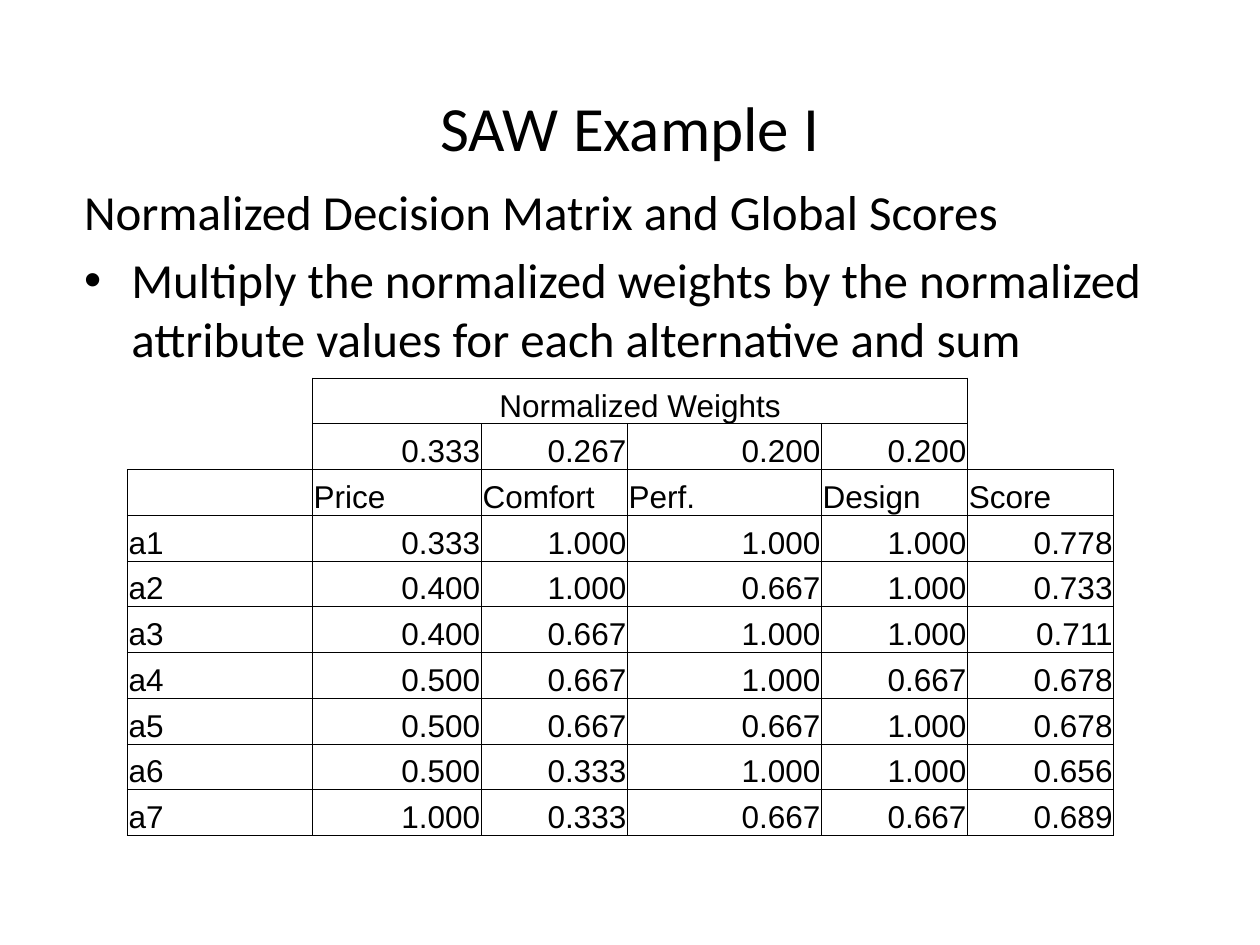
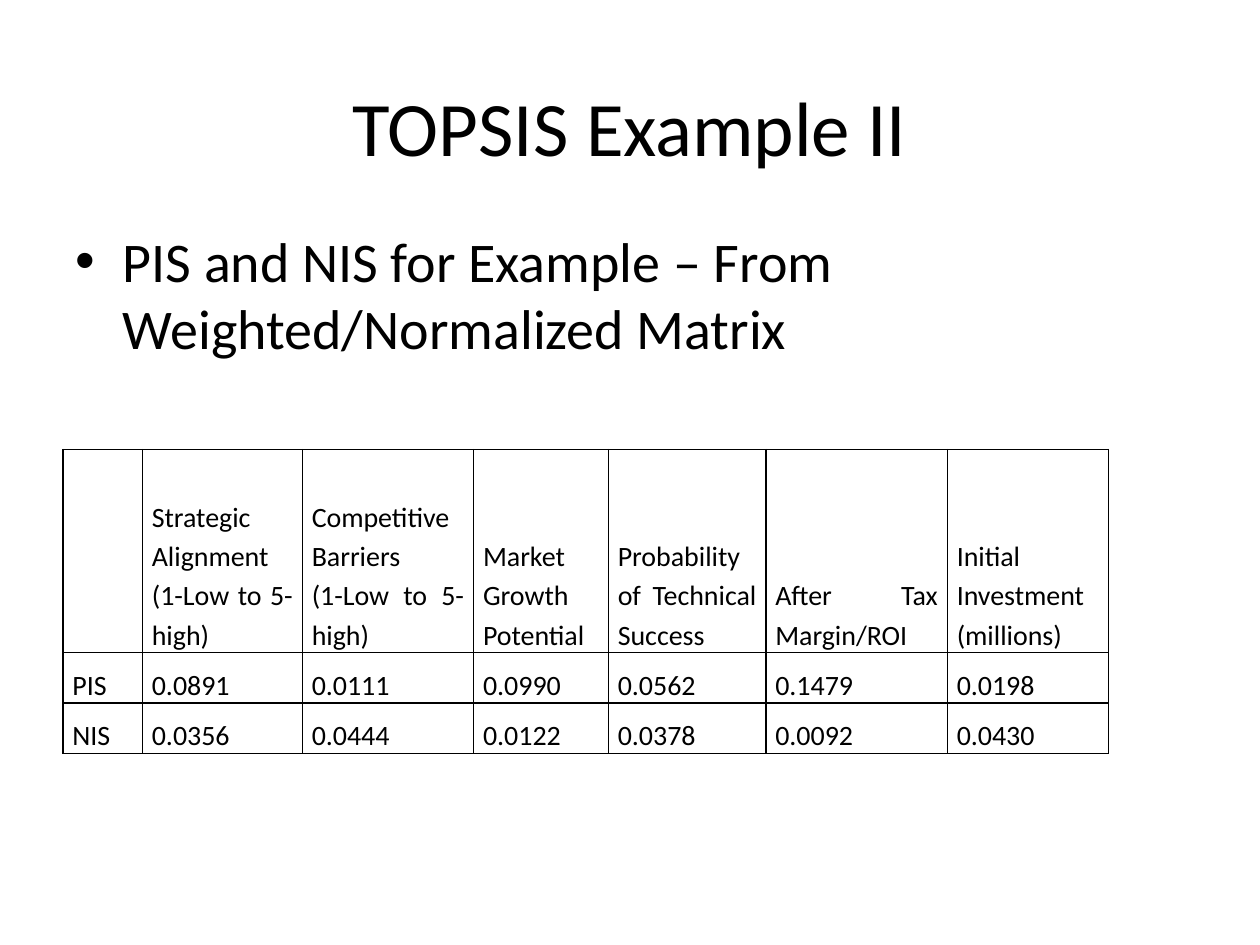
"""Build two slides with decision-matrix tables for the SAW and TOPSIS methods."""
from dataclasses import dataclass

import lxml.etree
import pptx
import pptx.dml.color
import pptx.enum.text
import pptx.oxml.ns
import pptx.util

Pt = pptx.util.Pt
qn = pptx.oxml.ns.qn
ALIGN = pptx.enum.text.PP_ALIGN
ANCHOR = pptx.enum.text.MSO_ANCHOR


@dataclass(frozen=True)
class Theme:
    ink: str = "000000"
    text_font: str = "Calibri"
    matrix_font: str = "Arial"
    saw_title: int = 36
    topsis_title: int = 44
    saw_body: int = 28
    topsis_body: int = 32
    saw_matrix: int = 18
    topsis_matrix: int = 16


THEME = Theme()
TITLE_BOX = (36, 27, 648, 90)
BULLET_INDENT = 27

SLIDES = [
    {
        "title": ("SAW Example I", THEME.saw_title),
        "body_at": (41, 100, 648, 356.4),
        "body_size": THEME.saw_body,
        "body": [
            ("Normalized Decision Matrix and Global Scores", False),
            ("Multiply the normalized weights by the normalized attribute values "
             "for each alternative and sum", True),
        ],
        "matrix": {
            "at": (72.8, 216),
            "columns": [105.8, 96.5, 83.5, 110.9, 83.5, 83.5],
            "heights": [26.14] * 10,
            "rows": [
                ["", "Normalized Weights", "", "", "", ""],
                ["", "0.333", "0.267", "0.200", "0.200", ""],
                ["", "Price", "Comfort", "Perf.", "Design", "Score"],
                ["a1", "0.333", "1.000", "1.000", "1.000", "0.778"],
                ["a2", "0.400", "1.000", "0.667", "1.000", "0.733"],
                ["a3", "0.400", "0.667", "1.000", "1.000", "0.711"],
                ["a4", "0.500", "0.667", "1.000", "0.667", "0.678"],
                ["a5", "0.500", "0.667", "0.667", "1.000", "0.678"],
                ["a6", "0.500", "0.333", "1.000", "1.000", "0.656"],
                ["a7", "1.000", "0.333", "0.667", "0.667", "0.689"],
            ],
            "merged": ((0, 1), (0, 4)),
            "unframed": {(0, 0), (1, 0), (0, 5), (1, 5)},
            "font": (THEME.matrix_font, THEME.saw_matrix),
            "insets": (0.7, 0.7, 0.7, 0),
            "justified": False,
            "rule": 0.5,
        },
    },
    {
        "title": ("TOPSIS Example II", THEME.topsis_title),
        "body_at": (36, 126, 648, 356.4),
        "body_size": THEME.topsis_body,
        "body": [("PIS and NIS for Example – From Weighted/Normalized Matrix", True)],
        "matrix": {
            "at": (36, 257),
            "columns": [45.4, 91.4, 97.9, 77, 90, 103.7, 92.2],
            "heights": [116, 28.8, 28.8],
            "rows": [
                ["", "Strategic Alignment\n(1-Low to 5-high)",
                 "Competitive Barriers\n(1-Low to 5-high)", "Market Growth Potential",
                 "Probability of Technical Success", "After Tax Margin/ROI",
                 "Initial Investment (millions)"],
                ["PIS", "0.0891", "0.0111", "0.0990", "0.0562", "0.1479", "0.0198"],
                ["NIS", "0.0356", "0.0444", "0.0122", "0.0378", "0.0092", "0.0430"],
            ],
            "merged": None,
            "unframed": set(),
            "font": (THEME.text_font, THEME.topsis_matrix),
            "insets": (5.4, 0, 5.4, 0),
            "justified": True,
            "rule": 1,
        },
    },
]


def set_font(paragraph, name, size):
    paragraph.font.name = name
    paragraph.font.size = Pt(size)
    paragraph.font.color.rgb = pptx.dml.color.RGBColor.from_string(THEME.ink)


def add_title(slide, words, size):
    title = slide.shapes.title
    title.left, title.top, title.width, title.height = map(Pt, TITLE_BOX)
    title.text_frame.text = words
    title.text_frame.vertical_anchor = ANCHOR.MIDDLE
    heading = title.text_frame.paragraphs[0]
    heading.alignment = ALIGN.CENTER
    set_font(heading, THEME.text_font, size)


def add_body(slide, box, points, size):
    frame = slide.shapes.add_textbox(*map(Pt, box)).text_frame
    frame.word_wrap = True
    frame.text = "\n".join(words for words, _ in points)
    for index, (point, (_, bulleted)) in enumerate(zip(frame.paragraphs, points)):
        if index:
            point.space_before = Pt(size * 0.2)
        properties = point._p.get_or_add_pPr()
        properties.set("marL", str(Pt(BULLET_INDENT)))
        properties.set("indent", str(-Pt(BULLET_INDENT)))
        if bulleted:
            lxml.etree.SubElement(properties, qn("a:buFont"), typeface="Arial")
            lxml.etree.SubElement(properties, qn("a:buChar"), char="•")
        set_font(point, THEME.text_font, size)


def frame_cell(cell, row, column, unframed, width):
    properties = cell._tc.get_or_add_tcPr()
    neighbours = {"L": (row, column - 1), "R": (row, column + 1),
                  "T": (row - 1, column), "B": (row + 1, column)}
    for side, neighbour in neighbours.items():
        line = lxml.etree.SubElement(properties, qn(f"a:ln{side}"), w=str(Pt(width)))
        outside = neighbour[0] < 0 or neighbour[1] < 0 or neighbour[1] > 5
        if (row, column) in unframed and (outside or neighbour in unframed):
            lxml.etree.SubElement(line, qn("a:noFill"))
        else:
            fill = lxml.etree.SubElement(line, qn("a:solidFill"))
            lxml.etree.SubElement(fill, qn("a:srgbClr"), val=THEME.ink)
    cell.fill.background()


def cell_alignment(words, justified, spanning):
    if justified:
        return ALIGN.JUSTIFY
    if spanning:
        return ALIGN.CENTER
    return ALIGN.RIGHT if words[:1].isdigit() else ALIGN.LEFT


def add_matrix(slide, matrix):
    rows, columns, heights = matrix["rows"], matrix["columns"], matrix["heights"]
    box = (*matrix["at"], sum(columns), sum(heights))
    table = slide.shapes.add_table(len(rows), len(columns), *map(Pt, box)).table
    table.first_row = table.horz_banding = False
    for column, width in zip(table.columns, columns):
        column.width = Pt(width)
    for row, height in zip(table.rows, heights):
        row.height = Pt(height)
    if matrix["merged"]:
        first, last = matrix["merged"]
        table.cell(*first).merge(table.cell(*last))
    for r, row in enumerate(rows):
        for c, words in enumerate(row):
            cell = table.cell(r, c)
            cell.text = words
            cell.vertical_anchor = ANCHOR.BOTTOM
            (cell.margin_left, cell.margin_top,
             cell.margin_right, cell.margin_bottom) = map(Pt, matrix["insets"])
            for paragraph in cell.text_frame.paragraphs:
                paragraph.alignment = cell_alignment(
                    words, matrix["justified"], cell.is_merge_origin)
                if matrix["justified"]:
                    paragraph.line_spacing = 1.15
                set_font(paragraph, *matrix["font"])
            frame_cell(cell, r, c, matrix["unframed"], matrix["rule"])


def main():
    deck = pptx.Presentation()
    deck.slide_width, deck.slide_height = Pt(720), Pt(540)
    title_only = deck.slide_layouts[5]
    for content in SLIDES:
        slide = deck.slides.add_slide(title_only)
        add_title(slide, *content["title"])
        add_body(slide, content["body_at"], content["body"], content["body_size"])
        add_matrix(slide, content["matrix"])
    deck.save("out.pptx")


if __name__ == "__main__":
    main()
